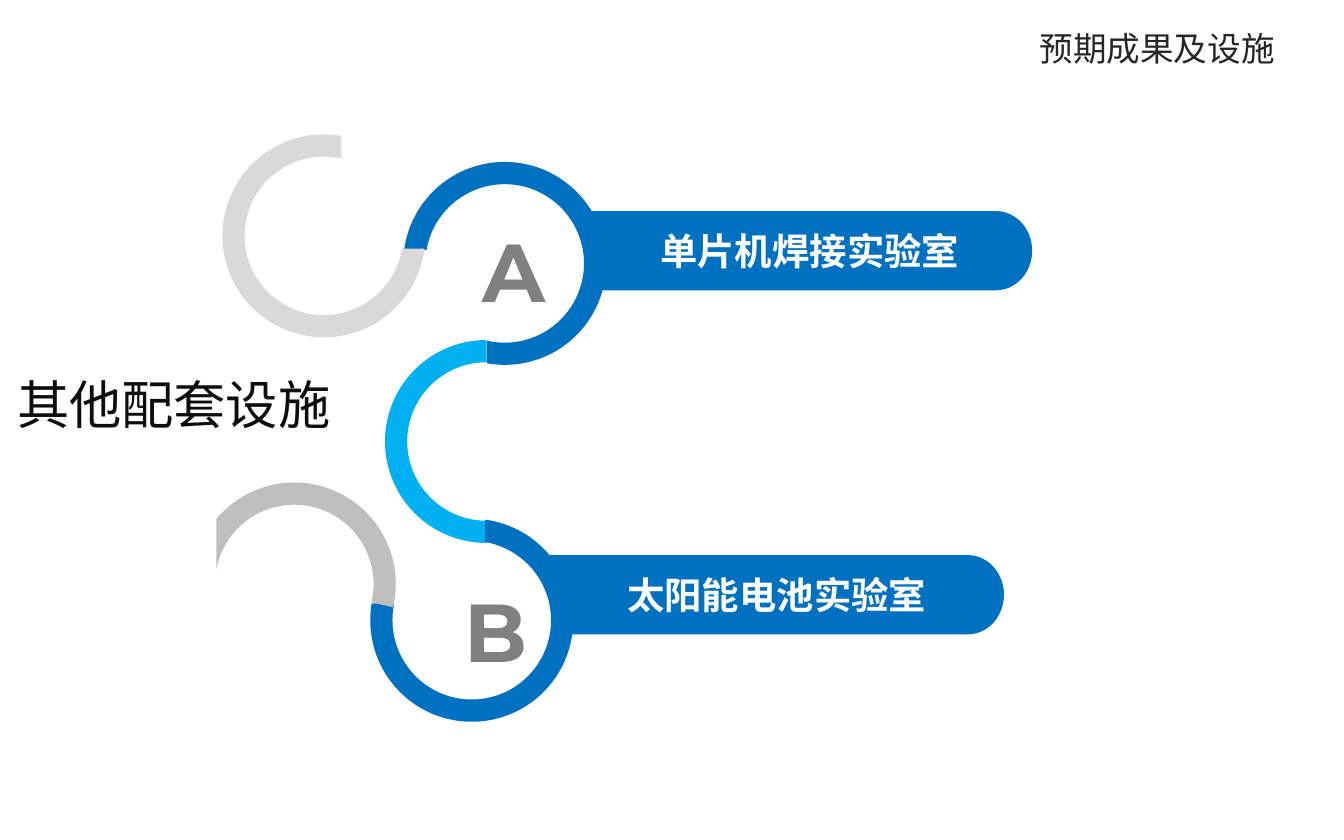
from dataclasses import dataclass
from math import acos, cos, degrees, radians, sin
from typing import Optional

from lxml.etree import Element, SubElement
from pptx import Presentation
from pptx.dml.color import RGBColor as RGB
from pptx.enum.text import MSO_ANCHOR as ANC, MSO_AUTO_SIZE as FIT, PP_ALIGN as AL
from pptx.oxml.ns import qn
from pptx.util import Inches, Pt

COLS, ROWS = 1000, 625
CELL = Inches(10) // COLS
OUTER, INNER = 75.5, 59
BLUE, GREY, CJK = "0070C0", "808080", "Noto Sans CJK SC"


@dataclass
class Sweep:
    rx: float
    ry: float
    start: float
    turn: float


@dataclass
class Step:
    x: float
    y: float
    sweep: Optional[Sweep] = None


@dataclass
class Cut:
    normal: float
    distance: float = 0
    side: int = -1

    def angle(self, radius: float) -> float:
        return self.normal + self.side * degrees(acos(self.distance / radius))


@dataclass
class Ring:
    cx: float
    cy: float
    start: Cut
    end: Cut
    fill: str


@dataclass
class Bar:
    left: float
    foot: float
    top: float
    right: float
    text: str


@dataclass
class Label:
    left: float
    top: float
    width: float
    height: float
    text: str
    size: float
    font: str
    color: str
    bold: bool = False
    spacing: float = 1.0


RINGS = [
    Ring(375.5, 196, Cut(270, 10), Cut(540, 13.5), BLUE),
    Ring(362, 328.5, Cut(180), Cut(180, side=1), "00B0F0"),
    Ring(351, 461.5, Cut(360, 10), Cut(630, 12.5), BLUE),
    Ring(241, 175.5, Cut(90, 9.5), Cut(360, 13), "D9D9D9"),
    Ring(219, 434.5, Cut(180, 58, 1), Cut(463.3), "BFBFBF"),
]
BARS = [
    Bar(437, 437, 157, 768, "单片机焊接实验室"),
    Bar(409, 416, 413, 747, "太阳能电池实验室"),
]
LABELS = [
    Label(349, 159, 55, 84, "A", 44, "Montserrat", GREY, True),
    Label(336, 427, 55, 84, "B", 44, "Montserrat", GREY, True),
    Label(3, 258, 297, 71, "其他配套设施", 28, CJK, "0D0D0D", spacing=1.3),
]


def rgb(value: str) -> RGB:
    return RGB.from_string(value)


def grid(*cells: float) -> list[int]:
    return [round(c * CELL) for c in cells]


def write(sp, text: str, *, size: float, font: str, color: str, bold: bool = False,
          align=AL.LEFT, anchor=ANC.TOP, spacing: float = 1.0, fit=FIT.NONE) -> None:
    tf = sp.text_frame
    tf.word_wrap = True
    tf.auto_size = fit
    tf.vertical_anchor = anchor
    p = tf.paragraphs[0]
    p.alignment = align
    p.line_spacing = spacing
    r = p.add_run()
    r.text = text
    r.font.size, r.font.bold, r.font.name = Pt(size), bold, font
    r.font.color.rgb = rgb(color)
    if font == CJK:
        SubElement(r.font._element, qn("a:ea")).set("typeface", font)


def arc(cx: float, cy: float, rx: float, ry: float, start: float, end: float) -> list[Step]:
    low, high = sorted((start, end))
    quarters = [a for a in range(-360, 720, 90) if low < a < high]
    stops = sorted([start, *quarters, end], reverse=start > end)
    sweeps = [None] + [Sweep(rx, ry, a, b - a) for a, b in zip(stops, stops[1:])]
    return [Step(cx + rx * cos(radians(a)), cy + ry * sin(radians(a)), sweep)
            for a, sweep in zip(stops, sweeps)]


def arc_to(sweep: Sweep):
    node = Element(qn("a:arcTo"))
    wide, high = grid(sweep.rx, sweep.ry)
    values = {"wR": wide, "hR": high, "stAng": round(sweep.start % 360 * 60000),
              "swAng": round(sweep.turn * 60000)}
    for name, value in values.items():
        node.set(name, str(value))
    return node


def outline(slide, steps: list[Step], fill: str):
    first, *rest = [tuple(grid(s.x, s.y)) for s in steps]
    builder = slide.shapes.build_freeform(*first, scale=1.0)
    builder.add_line_segments(rest, close=True)
    sp = builder.convert_to_shape()
    path = next(sp._element.iter(qn("a:path")))
    for step, node in zip(steps, list(path)):
        if step.sweep:
            path.replace(node, arc_to(step.sweep))
    sp.shadow.inherit = False
    sp.fill.solid()
    sp.fill.fore_color.rgb = rgb(fill)
    sp.line.fill.background()
    return sp


def draw_ring(slide, ring: Ring) -> None:
    start, end = ring.start, ring.end
    outer = arc(ring.cx, ring.cy, OUTER, OUTER, start.angle(OUTER), end.angle(OUTER))
    inner = arc(ring.cx, ring.cy, INNER, INNER, end.angle(INNER), start.angle(INNER))
    outline(slide, outer + inner, ring.fill)


def draw_bar(slide, bar: Bar) -> None:
    rx, ry = 27, 29.5
    cap = arc(bar.right - rx, bar.top + ry, rx, ry, -90, 90)
    ends = [Step(bar.foot, bar.top + 2 * ry), Step(bar.left, bar.top)]
    sp = outline(slide, cap + ends, BLUE)
    write(sp, bar.text, size=20, font="Calibri", color="FFFFFF", bold=True,
          align=AL.CENTER, anchor=ANC.MIDDLE)


def draw_label(slide, label: Label) -> None:
    sp = slide.shapes.add_textbox(*grid(label.left, label.top, label.width, label.height))
    write(sp, label.text, size=label.size, font=label.font, color=label.color,
          bold=label.bold, spacing=label.spacing, fit=FIT.SHAPE_TO_FIT_TEXT)


def main() -> None:
    prs = Presentation()
    prs.slide_width, prs.slide_height = grid(COLS, ROWS)
    slide = prs.slides.add_slide(prs.slide_layouts[5])
    for ring in RINGS:
        draw_ring(slide, ring)
    for bar in BARS:
        draw_bar(slide, bar)
    for label in LABELS:
        draw_label(slide, label)
    title = slide.shapes.title
    title.left, title.top, title.width, title.height = grid(747, 16, 228, 40)
    write(title, "预期成果及设施", size=18, font=CJK, color="262626", align=AL.CENTER)
    prs.save("out.pptx")


if __name__ == "__main__":
    main()
